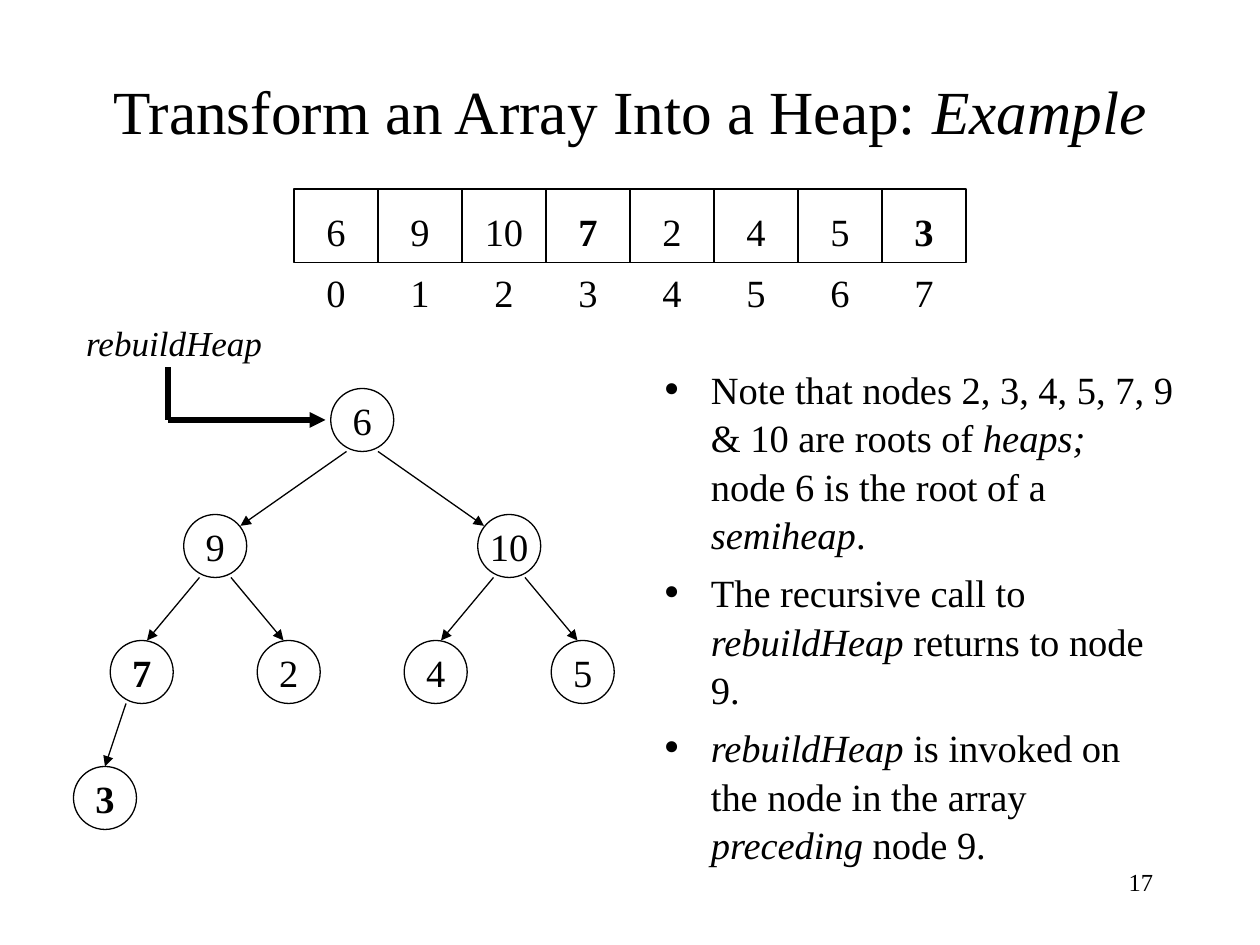
import dataclasses
import typing

import lxml.etree
import pptx
import pptx.dml.color
import pptx.enum.shapes
import pptx.enum.text
import pptx.oxml.ns
import pptx.util

Pt = pptx.util.Pt
ALIGN = pptx.enum.text.PP_ALIGN
ANCHOR = pptx.enum.text.MSO_ANCHOR
SHAPE = pptx.enum.shapes.MSO_SHAPE


@dataclasses.dataclass(frozen=True)
class Theme:
    font: str = "Times New Roman"
    ink: pptx.dml.color.RGBColor = pptx.dml.color.RGBColor(0, 0, 0)
    title: float = 35
    body: float = 22
    caption: float = 20
    page: float = 14
    thin: float = 0.75
    thick: float = 3


@dataclasses.dataclass(frozen=True)
class Span:
    text: str
    italic: bool = False
    bold: bool = False


@dataclasses.dataclass(frozen=True)
class Box:
    left: float
    top: float
    width: float
    height: float

    def lengths(self) -> list[int]:
        return [Pt(n) for n in (self.left, self.top, self.width, self.height)]


@dataclasses.dataclass(frozen=True)
class Node:
    center: float
    top: float
    level: int


THEME = Theme()
HEAP = [Span("6"), Span("9"), Span("10"), Span("7", bold=True),
        Span("2"), Span("4"), Span("5"), Span("3", bold=True)]
TITLE = [Span("Transform an Array Into a Heap: "), Span("Example", italic=True)]
NOTES = [
    [Span("Note that nodes 2, 3, 4, 5, 7, 9 & 10 are roots of "),
     Span("heaps;", italic=True), Span("  node 6 is the root of a "),
     Span("semiheap", italic=True), Span(".")],
    [Span("The recursive call to"), Span(" rebuildHeap ", italic=True),
     Span("returns to node 9.")],
    [Span("rebuildHeap", italic=True),
     Span(" is invoked on the node in the array "),
     Span("preceding", italic=True), Span(" node 9.")],
]

CELL = Box(168, 108, 48, 42)
DIAMETER = 36
ROOT = Node(center=207, top=222, level=0)
ROW_STEP = 72
ROOT_SPREAD = 84
DEPARTURE = 9
# Where an arrow meets a child, by level: inward from its center, down from its top
ARRIVALS = {1: (14.4, 6.5), 2: (3, 0), 3: (0, 0)}


def write(paragraph: typing.Any, spans: list[Span], size: float) -> None:
    for span in spans:
        run = paragraph.add_run()
        run.text = span.text
        run.font.name = THEME.font
        run.font.size = Pt(size)
        run.font.color.rgb = THEME.ink
        run.font.italic = span.italic
        run.font.bold = span.bold


def set_margins(frame: typing.Any, side: float, top: float, bottom: float) -> None:
    frame.margin_left = frame.margin_right = Pt(side)
    frame.margin_top, frame.margin_bottom = Pt(top), Pt(bottom)


def add_label(slide: typing.Any, box: Box, span: Span, size: float,
              align: typing.Any = ALIGN.CENTER, side: float = 0) -> None:
    frame = slide.shapes.add_textbox(*box.lengths()).text_frame
    frame.word_wrap = True
    set_margins(frame, side, 3.6, 3.6)
    frame.paragraphs[0].alignment = align
    write(frame.paragraphs[0], [span], size)


def add_value(slide: typing.Any, preset: typing.Any, box: Box, span: Span,
              drop: float = 0) -> None:
    """Draw an outlined shape holding a value, with its text inset by drop from the top."""
    outline = slide.shapes.add_shape(preset, *box.lengths())
    outline.shadow.inherit = False
    outline.fill.background()
    outline.line.color.rgb = THEME.ink
    outline.line.width = Pt(THEME.thin)
    frame = outline.text_frame
    frame.word_wrap = False
    frame.vertical_anchor = ANCHOR.MIDDLE
    set_margins(frame, 0, drop, 0)
    frame.paragraphs[0].alignment = ALIGN.CENTER
    write(frame.paragraphs[0], [span], THEME.body)


def add_line(slide: typing.Any, start: tuple[float, float], end: tuple[float, float],
             weight: float, arrow: bool = True) -> None:
    line = slide.shapes.add_connector(
        pptx.enum.shapes.MSO_CONNECTOR.STRAIGHT, *[Pt(n) for n in (*start, *end)])
    line.line.color.rgb = THEME.ink
    line.line.width = Pt(weight)
    if arrow:
        lxml.etree.SubElement(line.line._get_or_add_ln(),
                              pptx.oxml.ns.qn("a:tailEnd"), type="triangle")
    lxml.etree.SubElement(line._element.spPr, pptx.oxml.ns.qn("a:effectLst"))


def add_bullet(paragraph: typing.Any) -> None:
    properties = paragraph._p.get_or_add_pPr()
    properties.set("marL", str(Pt(27)))
    properties.set("indent", str(-Pt(27)))
    for tag, name, setting in (("a:buSzPct", "val", "120000"),
                               ("a:buFont", "typeface", THEME.font),
                               ("a:buChar", "char", "•")):
        lxml.etree.SubElement(properties, pptx.oxml.ns.qn(tag)).set(name, setting)


def fill_placeholder(holder: typing.Any, box: Box, anchor: typing.Any) -> typing.Any:
    holder.left, holder.top, holder.width, holder.height = box.lengths()
    frame = holder.text_frame
    frame.auto_size = pptx.enum.text.MSO_AUTO_SIZE.NONE
    frame.word_wrap = True
    frame.vertical_anchor = anchor
    return frame


def add_text(slide: typing.Any) -> None:
    title = fill_placeholder(slide.shapes.title, Box(54, 36, 612, 54), ANCHOR.MIDDLE)
    title.paragraphs[0].alignment = ALIGN.CENTER
    write(title.paragraphs[0], TITLE, THEME.title)

    notes = fill_placeholder(slide.placeholders[1], Box(372, 204, 306, 282), ANCHOR.TOP)
    for position, spans in enumerate(NOTES):
        note = notes.add_paragraph() if position else notes.paragraphs[0]
        note.space_before = Pt(5.5 if position else 0)
        note.line_spacing = 1.05
        add_bullet(note)
        write(note, spans, THEME.body)


def add_array(slide: typing.Any) -> None:
    for index, value in enumerate(HEAP):
        left = CELL.left + index * CELL.width
        add_value(slide, SHAPE.RECTANGLE,
                  dataclasses.replace(CELL, left=left), value, drop=6)
        add_label(slide, Box(left + 12, CELL.top + CELL.height, 24, 34),
                  Span(str(index)), THEME.body)


def add_tree(slide: typing.Any) -> None:
    """Place each heap entry under its parent, halving the spread at every level."""
    nodes = [ROOT]
    for index in range(1, len(HEAP)):
        parent = nodes[(index - 1) // 2]
        side = -1 if index % 2 else 1
        child = Node(parent.center + side * ROOT_SPREAD / 2 ** parent.level,
                     parent.top + ROW_STEP, parent.level + 1)
        nodes.append(child)
        inward, down = ARRIVALS[child.level]
        add_line(slide, (parent.center + side * DEPARTURE, parent.top + DIAMETER),
                 (child.center - side * inward, child.top + down), THEME.thin)
    for node, value in zip(nodes, HEAP):
        add_value(slide, SHAPE.OVAL, Box(node.center - DIAMETER / 2, node.top,
                                         DIAMETER, DIAMETER), value)


def add_call(slide: typing.Any) -> None:
    add_label(slide, Box(42, 180, 115, 32), Span("rebuildHeap", italic=True), THEME.caption)
    corner = (96, 240)
    add_line(slide, (96, 210), corner, THEME.thick, arrow=False)
    add_line(slide, corner, (186, 240), THEME.thick)


def main() -> None:
    deck = pptx.Presentation()
    deck.slide_width, deck.slide_height = Pt(720), Pt(540)
    slide = deck.slides.add_slide(deck.slide_layouts[1])
    add_text(slide)
    add_array(slide)
    add_tree(slide)
    add_call(slide)
    add_label(slide, Box(516, 492, 150, 36), Span("17"), THEME.page, ALIGN.RIGHT, side=7.2)
    deck.save("out.pptx")


if __name__ == "__main__":
    main()
